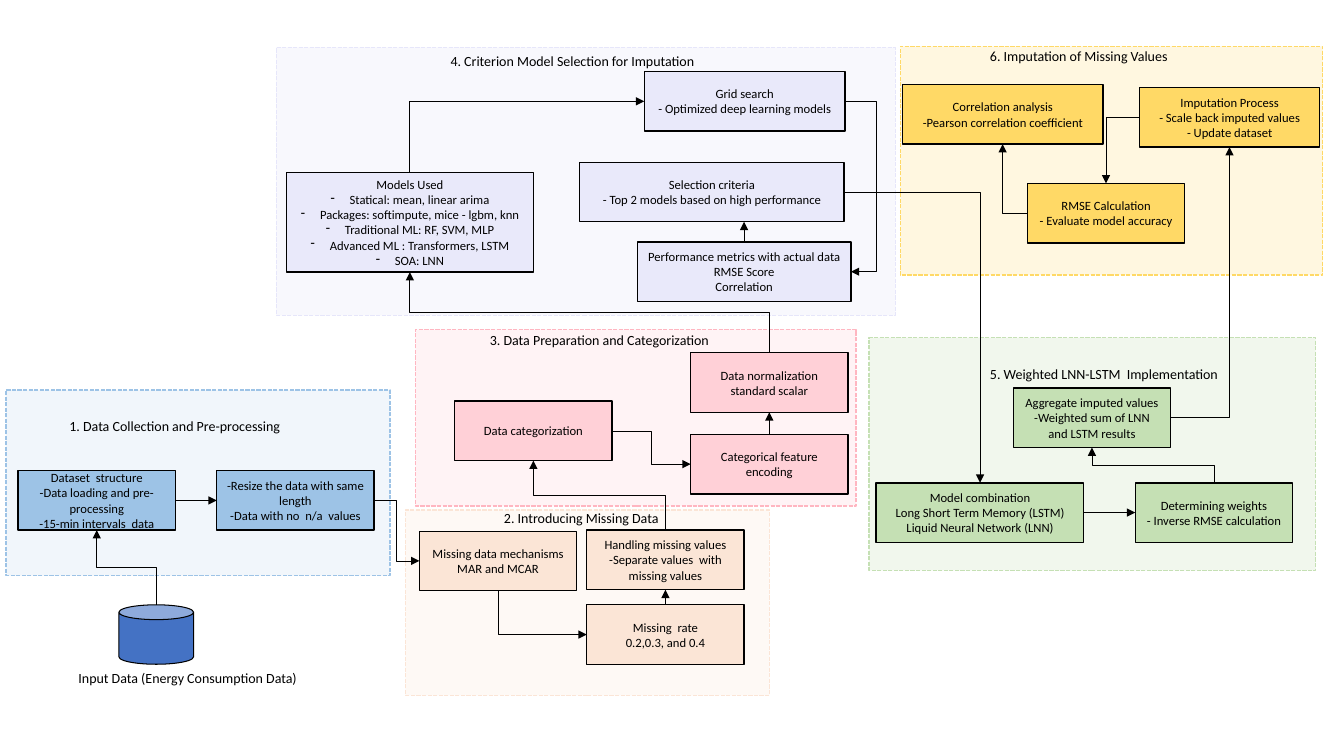
from lxml import etree
from pptx import Presentation
from pptx.dml.color import RGBColor
from pptx.enum.dml import MSO_LINE
from pptx.enum.shapes import MSO_CONNECTOR, MSO_SHAPE
from pptx.enum.text import MSO_ANCHOR, MSO_AUTO_SIZE, PP_ALIGN
from pptx.oxml.ns import qn
from pptx.util import Inches, Pt

RECT, CAN = MSO_SHAPE.RECTANGLE, MSO_SHAPE.CAN
STRAIGHT, ELBOW = MSO_CONNECTOR.STRAIGHT, MSO_CONNECTOR.ELBOW
LEFT, CENTER = PP_ALIGN.LEFT, PP_ALIGN.CENTER
MIDDLE, GROW = MSO_ANCHOR.MIDDLE, MSO_AUTO_SIZE.SHAPE_TO_FIT_TEXT
DASH = MSO_LINE.SQUARE_DOT
T, L, B, R = range(4)

THEME = {
    "font": "Calibri", "title": 10, "body": 9, "ink": "000000",
    "gold": "FFD966", "green": "C5E0B4", "lavender": "E6E6FA",
    "pink": "FFB6C1", "peach": "FBE5D6", "blue": "9DC3E6", "store": "4472C4",
}


def write(sp, text, size=THEME["body"], align=CENTER, bullets=False):
    tf = sp.text_frame
    tf.word_wrap = True
    for i, line in enumerate(text.split("\n")):
        p = tf.paragraphs[0] if i == 0 else tf.add_paragraph()
        p.alignment = align
        r = p.add_run()
        r.text = line
        r.font.name = THEME["font"]
        r.font.size = Pt(size)
        r.font.color.rgb = RGBColor.from_string(THEME["ink"])
        if bullets and i:
            pPr = p._p.get_or_add_pPr()
            pPr.set("marL", str(Inches(0.19)))
            pPr.set("indent", str(-Inches(0.19)))
            etree.SubElement(pPr, qn("a:buChar")).set("char", "-")


def add_block(kind, box, fill, alpha, line, width):
    sp = s.shapes.add_shape(kind, *map(Inches, box))
    sp.shadow.inherit = False
    sp.fill.solid()
    sp.fill.fore_color.rgb = RGBColor.from_string(THEME[fill])
    if alpha < 100:
        clr = sp._element.spPr.find(qn("a:solidFill"))[0]
        etree.SubElement(clr, qn("a:alpha")).set("val", str(alpha * 1000))
    sp.line.color.rgb = RGBColor.from_string(THEME[line])
    sp.line.width = Pt(width)
    return sp


prs = Presentation()
prs.slide_width, prs.slide_height = Inches(13.33), Inches(7.5)
s = prs.slides.add_slide(prs.slide_layouts[6])

panels = [
    ((8.93, 0.46, 4.19, 2.27), "gold", 20),
    ((8.62, 3.35, 4.43, 2.31), "green", 24),
    ((2.74, 0.47, 6.14, 2.66), "lavender", 26),
    ((4.12, 3.27, 4.37, 1.75), "pink", 16),
    ((4.02, 5.06, 3.61, 1.84), "peach", 22),
    ((0.06, 3.87, 3.81, 1.84), "blue", 14),
]
for box, color, alpha in panels:
    add_block(RECT, box, color, alpha, color, 1).line.dash_style = DASH

titles = [
    (0.59, 4.09, 2.34, "1. Data Collection and Pre-processing"),
    (4.9, 5.01, 2.34, "2. Introducing Missing Data"),
    (4.76, 3.24, 2.62, "3. Data Preparation and Categorization"),
    (4.37, 0.47, 2.87, "4. Criterion Model Selection for Imputation"),
    (9.72, 3.58, 3.55, "5. Weighted LNN-LSTM  Implementation"),
    (9.72, 0.42, 2.01, "6. Imputation of Missing Values"),
    (0.68, 6.59, 2.44, "Input Data (Energy Consumption Data)"),
]
for x, y, w, text in titles:
    sp = s.shapes.add_textbox(Inches(x), Inches(y), Inches(w), Inches(0.27))
    write(sp, text, size=THEME["title"], align=LEFT)
    sp.text_frame.auto_size = GROW

STEP_W, STEP_H = 1.56, 0.59
alphas = {"pink": 56, "lavender": 78}
steps = [
    ("dataset", 0.18, 4.67, STEP_W, "blue",
     "Dataset  structure\n-Data loading and pre-processing\n-15-min intervals  data"),
    ("resize", 2.15, 4.67, STEP_W, "blue",
     "-Resize the data with same length\n-Data with no  n/a  values"),
    ("mechanisms", 4.16, 5.27, STEP_W, "peach", "Missing data mechanisms\nMAR and MCAR"),
    ("rate", 5.82, 6, STEP_W, "peach", "Missing  rate\n0.2,0.3, and 0.4"),
    ("handling", 5.82, 5.26, STEP_W, "peach",
     "Handling missing values\n-Separate values  with missing values"),
    ("categories", 4.51, 3.98, STEP_W, "pink", "Data categorization"),
    ("encoding", 6.85, 4.31, STEP_W, "pink", "Categorical feature encoding"),
    ("scaling", 6.85, 3.5, STEP_W, "pink", "Data normalization standard scalar"),
    ("models", 2.84, 1.71, 2.45, "lavender",
     "Models Used\nStatical: mean, linear arima\nPackages: softimpute, mice - lgbm, knn\n"
     "Traditional ML: RF, SVM, MLP\nAdvanced ML : Transformers, LSTM\nSOA: LNN"),
    ("grid", 6.39, 0.71, 1.99, "lavender", "Grid search\n- Optimized deep learning models"),
    ("selection", 5.75, 1.61, 2.62, "lavender",
     "Selection criteria\n- Top 2 models based on high performance"),
    ("metrics", 6.32, 2.4, 2.12, "lavender",
     "Performance metrics with actual data\nRMSE Score\nCorrelation"),
    ("combination", 8.69, 4.79, 2.06, "green",
     "Model combination\nLong Short Term Memory (LSTM)\nLiquid Neural Network (LNN)"),
    ("weights", 11.26, 4.79, STEP_W, "green",
     "Determining weights\n- Inverse RMSE calculation"),
    ("aggregate", 10.05, 3.85, STEP_W, "green",
     "Aggregate imputed values\n-Weighted sum of LNN and LSTM results"),
    ("imputation", 11.3, 0.87, 1.79, "gold",
     "Imputation Process\n- Scale back imputed values\n- Update dataset"),
    ("rmse", 10.19, 1.82, STEP_W, "gold", "RMSE Calculation\n- Evaluate model accuracy"),
    ("correlation", 8.95, 0.84, 1.99, "gold",
     "Correlation analysis\n-Pearson correlation coefficient"),
]
nodes = {"store": add_block(CAN, (1.18, 6, 0.74, STEP_H), "store", 100, "ink", 0.75)}
for name, x, y, w, color, text in steps:
    h = 0.99 if name == "models" else STEP_H
    sp = add_block(RECT, (x, y, w, h), color, alphas.get(color, 100), "ink", 1)
    sp.text_frame.vertical_anchor = MIDDLE
    write(sp, text, bullets=name == "models")
    nodes[name] = sp

sides = {}
for name, sp in nodes.items():
    mid_x, mid_y = sp.left + sp.width // 2, sp.top + sp.height // 2
    sides[name] = [(mid_x, sp.top), (sp.left, mid_y),
                   (mid_x, sp.top + sp.height), (sp.left + sp.width, mid_y)]

arrows = []
straight_links = [
    ("dataset", R, "resize", L), ("rate", T, "handling", B),
    ("encoding", T, "scaling", B), ("metrics", T, "selection", B),
    ("combination", R, "weights", L),
]
for start, out, end, into in straight_links:
    x1, y1 = sides[start][out]
    x2, y2 = sides[end][into]
    centered = x1 == x2 or y1 == y2
    c = s.shapes.add_connector(STRAIGHT, x1, y1, x2 if centered else x1, y2)
    c.begin_connect(nodes[start], out)
    if centered:
        c.end_connect(nodes[end], into)
    arrows.append(c)

elbow_links = [
    ("store", T, "dataset", B, None), ("resize", R, "mechanisms", L, None),
    ("mechanisms", B, "rate", L, None), ("handling", T, "categories", B, None),
    ("categories", R, "encoding", L, None), ("scaling", T, "models", B, None),
    ("models", T, "grid", L, None), ("grid", R, "metrics", R, 8.69),
    ("selection", R, "combination", T, None), ("weights", T, "aggregate", B, None),
    ("aggregate", R, "imputation", B, None), ("imputation", L, "rmse", T, None),
    ("rmse", L, "correlation", B, None),
]
for start, out, end, into, turn_x in elbow_links:
    x1, y1 = sides[start][out]
    x2, y2 = sides[end][into]
    dx, dy = x2 - x1, y2 - y1
    if out in (T, B):
        mid_x, mid_y = (x1 + x2) // 2, (y1 + y2) // 2
        half_w, half_h = abs(dy) // 2, abs(dx) // 2
        if dx * dy > 0:
            half_h = -half_h
        c = s.shapes.add_connector(ELBOW, mid_x - half_w, mid_y - half_h,
                                   mid_x + half_w, mid_y + half_h)
        c._element.spPr.find(qn("a:xfrm")).set("rot", str((90 if dy > 0 else 270) * 60000))
    else:
        c = s.shapes.add_connector(ELBOW, x1, y1, x2, y2)
    geom = c._element.spPr.find(qn("a:prstGeom"))
    if out % 2 != into % 2:
        geom.set("prst", "bentConnector2")
    if turn_x:
        gd = etree.SubElement(geom.find(qn("a:avLst")), qn("a:gd"))
        gd.set("name", "adj1")
        gd.set("fmla", f"val {round((Inches(turn_x) - x1) / dx * 100000)}")
    arrows.append(c)

for c in arrows:
    c.line.color.rgb = RGBColor.from_string(THEME["ink"])
    c.line.width = Pt(0.5)
    spPr = c._element.spPr
    etree.SubElement(spPr.find(qn("a:ln")), qn("a:tailEnd")).set("type", "triangle")
    etree.SubElement(spPr, qn("a:effectLst"))

prs.save("out.pptx")
